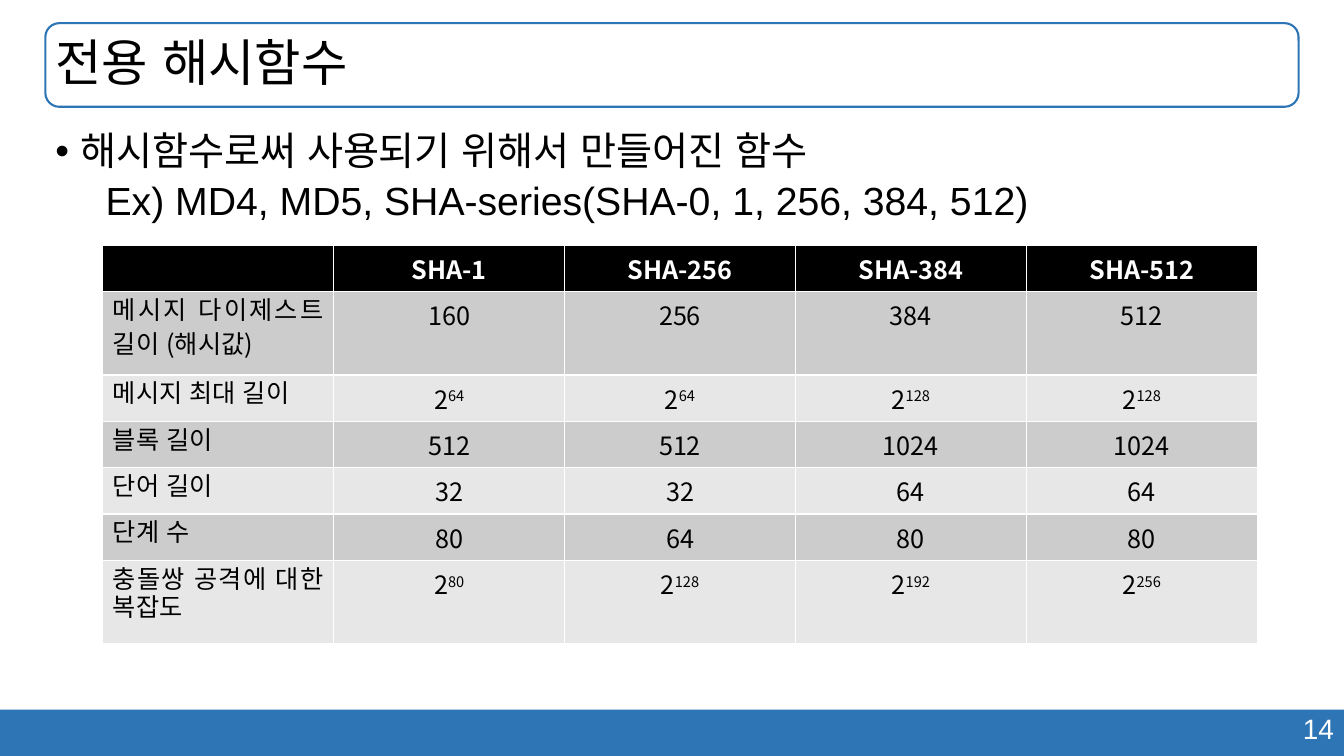
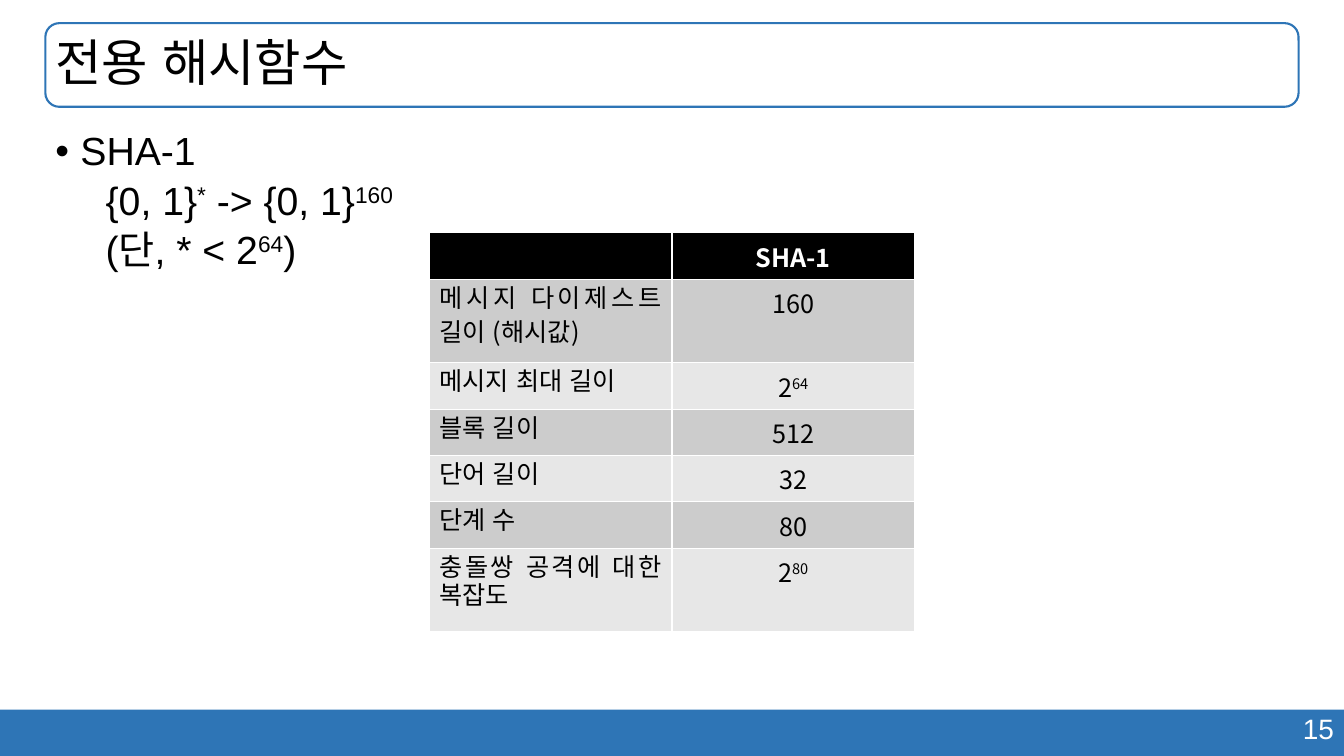
from dataclasses import dataclass

from lxml import etree
from pptx import Presentation
from pptx.dml.color import RGBColor
from pptx.enum.shapes import MSO_SHAPE
from pptx.enum.text import MSO_ANCHOR, PP_ALIGN
from pptx.oxml.ns import qn
from pptx.util import Inches, Pt

RECT, ROUND_RECT = MSO_SHAPE.RECTANGLE, MSO_SHAPE.ROUNDED_RECTANGLE
LEFT, CENTER, RIGHT, JUSTIFY = (
    PP_ALIGN.LEFT, PP_ALIGN.CENTER, PP_ALIGN.RIGHT, PP_ALIGN.JUSTIFY)
MIDDLE = MSO_ANCHOR.MIDDLE


@dataclass(frozen=True)
class Theme:
    accent: str = "2E75B6"
    black: str = "000000"
    white: str = "FFFFFF"
    bands: tuple = ("CCCCCC", "E7E7E7")
    font: str = "Arial"
    table_font: str = "Noto Sans CJK KR"
    title_size: int = 36
    body_size: int = 28
    page_size: int = 20
    table_size: int = 18
    line_spacing: float = 0.9


THEME = Theme()

# In all texts, "^" switches superscript on and off.
TITLE = "전용 해시함수"
HASHES = ["SHA-1", "SHA-256", "SHA-384", "SHA-512"]
PROPERTIES = [
    ("메시지 다이제스트 길이 (해시값)", "160", "256", "384", "512"),
    ("메시지 최대 길이", "2^64", "2^64", "2^128", "2^128"),
    ("블록 길이", "512", "512", "1024", "1024"),
    ("단어 길이", "32", "32", "64", "64"),
    ("단계 수", "80", "64", "80", "80"),
    ("충돌쌍 공격에 대한 복잡도", "2^80", "2^128", "2^192", "2^256"),
]
ONE_LINE, TWO_LINES = 0.46, 0.83
ROW_HEIGHTS = [ONE_LINE, TWO_LINES, *[ONE_LINE] * 4, TWO_LINES]

SLIDES = [
    {
        "page": 14,
        "bullet": "해시함수로써 사용되기 위해서 만들어진 함수",
        "details": ["Ex) MD4, MD5, SHA-series(SHA-0, 1, 256, 384, 512)"],
        "hashes": 4,
        "table_box": (1.02, 2.43, 11.45),
    },
    {
        "page": 15,
        "bullet": "SHA-1",
        "details": ["{0, 1}^*^ -> {0, 1}^160", "(단, * < 2^64^)"],
        "hashes": 1,
        "table_box": (4.26, 2.31, 4.81),
    },
]


def rgb(color):
    return RGBColor.from_string(color)


def write(p, text, size, color=THEME.black, font=THEME.font, bold=False, align=LEFT):
    p.alignment = align
    for i, part in enumerate(text.split("^")):
        if not part:
            continue
        r = p.add_run()
        r.text = part
        r.font.size = Pt(size)
        r.font.name = font
        r.font.bold = bold
        r.font.color.rgb = rgb(color)
        r_pr = r.font._element
        etree.SubElement(r_pr, qn("a:ea")).set("typeface", THEME.font)
        if i % 2:
            r_pr.set("baseline", "30000")


def add_panel(slide, kind, box, fill=None, line=None):
    sp = slide.shapes.add_shape(kind, *map(Inches, box))
    sp.shadow.inherit = False
    if fill:
        sp.fill.solid()
        sp.fill.fore_color.rgb = rgb(fill)
    else:
        sp.fill.background()
    if line:
        sp.line.color.rgb = rgb(line)
        sp.line.width = Pt(1.5)
    else:
        sp.line.fill.background()
    return sp


def add_text_box(slide, box):
    tf = slide.shapes.add_textbox(*map(Inches, box)).text_frame
    tf.word_wrap = True
    return tf


def add_frame(slide, page):
    """Draw the parts every slide shares: footer band, page number and title."""
    add_panel(slide, RECT, (0, 7.04, 13.33, 0.46), fill=THEME.accent)
    tf = add_text_box(slide, (9.43, 7.01, 3.9, 0.44))
    write(tf.paragraphs[0], str(page), THEME.page_size, THEME.white, align=RIGHT)

    sp = add_panel(slide, ROUND_RECT, (0.45, 0.23, 12.43, 0.83), line=THEME.accent)
    tf = sp.text_frame
    tf.margin_left = Inches(0.06)
    tf.vertical_anchor = MIDDLE
    p = tf.paragraphs[0]
    p.line_spacing = THEME.line_spacing
    write(p, TITLE, THEME.title_size)


def add_body(slide, bullet, details):
    tf = add_text_box(slide, (0.45, 1.26, 12.43, 5.53))
    for i, text in enumerate([bullet, *details]):
        p = tf.add_paragraph() if i else tf.paragraphs[0]
        p.line_spacing = THEME.line_spacing
        if i:
            p.space_before = Pt(5)
        p_pr = p._p.get_or_add_pPr()
        p_pr.set("marL", str(Inches(0.75 if i else 0.25)))
        p_pr.set("indent", str(Inches(-0.25)))
        if i:
            etree.SubElement(p_pr, qn("a:buNone"))
        else:
            etree.SubElement(p_pr, qn("a:buFont")).set("typeface", THEME.font)
            etree.SubElement(p_pr, qn("a:buChar")).set("char", "•")
        write(p, text, THEME.body_size)


def style_cell(cell, fill):
    """Give the cell thin white borders and a solid fill."""
    tc_pr = cell._tc.get_or_add_tcPr()
    for side in ("lnL", "lnR", "lnT", "lnB"):
        ln = etree.SubElement(tc_pr, qn(f"a:{side}"), w=str(Pt(1)))
        solid = etree.SubElement(ln, qn("a:solidFill"))
        etree.SubElement(solid, qn("a:srgbClr"), val=THEME.white)
    cell.fill.solid()
    cell.fill.fore_color.rgb = rgb(fill)


def add_hash_table(slide, hashes, table_box):
    rows = [row[:hashes + 1] for row in [("", *HASHES), *PROPERTIES]]
    left, top, width = table_box
    table = slide.shapes.add_table(
        len(rows), hashes + 1, Inches(left), Inches(top),
        Inches(width), Inches(sum(ROW_HEIGHTS))).table
    for column in table.columns:
        column.width = Inches(width / (hashes + 1))
    for i, row in enumerate(rows):
        table.rows[i].height = Inches(ROW_HEIGHTS[i])
        header = i == 0
        for j, text in enumerate(row):
            cell = table.cell(i, j)
            style_cell(cell, THEME.black if header else THEME.bands[(i - 1) % 2])
            write(cell.text_frame.paragraphs[0], text, THEME.table_size,
                  THEME.white if header else THEME.black, THEME.table_font,
                  bold=header, align=CENTER if j else JUSTIFY)


def main():
    prs = Presentation()
    prs.slide_width, prs.slide_height = Inches(13.33), Inches(7.5)
    for content in SLIDES:
        slide = prs.slides.add_slide(prs.slide_layouts[6])
        add_frame(slide, content["page"])
        add_body(slide, content["bullet"], content["details"])
        add_hash_table(slide, content["hashes"], content["table_box"])
    prs.save("out.pptx")


if __name__ == "__main__":
    main()
